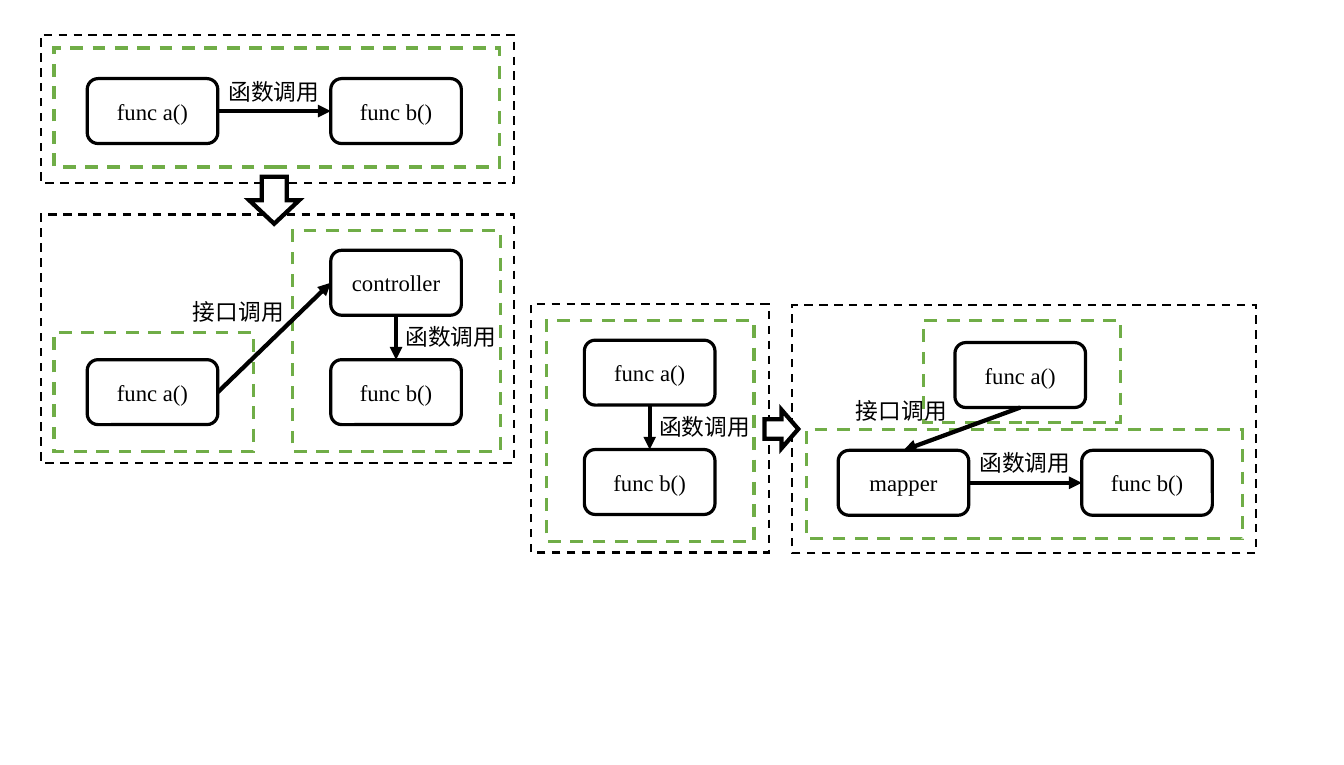
"""Build a slide showing how local function calls are split into interface calls."""
from dataclasses import dataclass

from lxml import etree
from pptx import Presentation
from pptx.dml.color import RGBColor
from pptx.enum.dml import MSO_LINE
from pptx.enum.shapes import MSO_CONNECTOR, MSO_SHAPE
from pptx.enum.text import MSO_ANCHOR, MSO_AUTO_SIZE, PP_ALIGN
from pptx.oxml.ns import qn
from pptx.util import Cm, Pt

RECTANGLE = MSO_SHAPE.RECTANGLE
ROUNDED = MSO_SHAPE.ROUNDED_RECTANGLE
DOWN_ARROW = MSO_SHAPE.DOWN_ARROW
STRAIGHT = MSO_CONNECTOR.STRAIGHT
DASH = MSO_LINE.DASH
MIDDLE = MSO_ANCHOR.MIDDLE
FIT_TEXT = MSO_AUTO_SIZE.SHAPE_TO_FIT_TEXT
CENTER = PP_ALIGN.CENTER
TOP, LEFT, BOTTOM, RIGHT = range(4)

FUNCTION_CALL = "函数调用"
INTERFACE_CALL = "接口调用"
BESIDE_ACROSS = (5.61, -0.18)
BESIDE_DOWN = (2.29, 3.5)
STEP_ACROSS = 12.12
STEP_DOWN = 5.44


@dataclass(frozen=True)
class Theme:
    """Colours, fonts, type size and line widths."""
    ink: RGBColor = RGBColor(0, 0, 0)
    paper: RGBColor = RGBColor(255, 255, 255)
    green: RGBColor = RGBColor(0x70, 0xAD, 0x47)
    code_font: str = "Times New Roman"
    label_font: str = "Noto Sans CJK SC"
    text_size: int = 32
    thin: float = 3
    medium: float = 4.5
    thick: float = 6


class Diagram:
    """Draws the elements of the diagram on one slide."""

    def __init__(self, slide, theme):
        self.shapes = slide.shapes
        self.theme = theme

    def outline(self, kind, left, top, width, height, color, weight, dash=None):
        """Add a white shape with a sharp-cornered outline."""
        shape = self.shapes.add_shape(kind, Cm(left), Cm(top), Cm(width), Cm(height))
        shape.shadow.inherit = False
        shape.fill.solid()
        shape.fill.fore_color.rgb = self.theme.paper
        shape.line.color.rgb = color
        shape.line.width = Pt(weight)
        if dash:
            shape.line.dash_style = dash
        line = shape.line._get_or_add_ln()
        etree.SubElement(line, qn("a:miter"), lim="800000")
        return shape

    def process(self, *bounds):
        """Add a black dashed frame around one deployment."""
        self.outline(RECTANGLE, *bounds, self.theme.ink, self.theme.thin, DASH)

    def module(self, *bounds):
        """Add a green dashed frame around one module."""
        self.outline(RECTANGLE, *bounds, self.theme.green, self.theme.medium, DASH)

    def block_arrow(self, *bounds, rotation=0):
        """Add a block arrow leading to the next stage."""
        arrow = self.outline(DOWN_ARROW, *bounds, self.theme.ink, self.theme.thick)
        arrow.rotation = rotation

    def set_text(self, shape, text, font_name):
        """Set one centred paragraph."""
        paragraph = shape.text_frame.paragraphs[0]
        paragraph.text = text
        paragraph.alignment = CENTER
        font = paragraph.font
        font.size = Pt(self.theme.text_size)
        font.color.rgb = self.theme.ink
        font.name = font_name
        properties = paragraph._p.find(qn("a:pPr")).find(qn("a:defRPr"))
        etree.SubElement(properties, qn("a:ea"), typeface=font_name)

    def function(self, text, left, top):
        """Add a rounded function box."""
        box = self.outline(ROUNDED, left, top, 6.5, 3.23, self.theme.ink, self.theme.medium)
        box.text_frame.vertical_anchor = MIDDLE
        self.set_text(box, text, self.theme.code_font)
        return box

    def call(self, caller, caller_side, callee, callee_side, text, offset):
        """Join two boxes with an arrow and a label offset from the caller."""
        connector = self.shapes.add_connector(STRAIGHT, 0, 0, 0, 0)
        connector.begin_connect(caller, caller_side)
        connector.end_connect(callee, callee_side)
        connector.line.color.rgb = self.theme.ink
        connector.line.width = Pt(self.theme.thick)
        line = connector.line._get_or_add_ln()
        etree.SubElement(line, qn("a:tailEnd"), type="triangle")
        etree.SubElement(connector._element.spPr, qn("a:effectLst"))
        across, down = offset
        label = self.shapes.add_textbox(
            caller.left + Cm(across), caller.top + Cm(down), Cm(7.37), Cm(1.63))
        label.text_frame.word_wrap = True
        label.text_frame.auto_size = FIT_TEXT
        self.set_text(label, text, self.theme.label_font)

    def call_across(self, caller, callee):
        """Add a function call to the box on the right."""
        self.call(caller, RIGHT, callee, LEFT, FUNCTION_CALL, BESIDE_ACROSS)

    def call_down(self, caller, callee):
        """Add a function call to the box below."""
        self.call(caller, BOTTOM, callee, TOP, FUNCTION_CALL, BESIDE_DOWN)


def draw_controller_split(diagram):
    """Draw the left column: one module, then a split through a controller."""
    left, right = 4.34, 4.34 + STEP_ACROSS
    diagram.process(2.03, 1.73, 23.55, 7.37)
    diagram.module(2.69, 2.39, 22.17, 5.92)
    caller = diagram.function("func a()", left, 3.91)
    callee = diagram.function("func b()", right, 3.91)
    diagram.call_across(caller, callee)

    diagram.process(2.03, 10.67, 23.55, 12.34)
    diagram.module(14.55, 11.48, 10.34, 10.97)
    diagram.module(2.69, 16.54, 9.93, 5.92)
    controller = diagram.function("controller", right, 12.45)
    caller = diagram.function("func a()", left, 12.45 + STEP_DOWN)
    callee = diagram.function("func b()", right, 12.45 + STEP_DOWN)
    diagram.call_down(controller, callee)
    diagram.call(caller, RIGHT, controller, LEFT, INTERFACE_CALL, (3.84, -3.22))
    diagram.block_arrow(12.4, 8.79, 2.49, 2.34)


def draw_mapper_split(diagram):
    """Draw the right row: one module, then a split through a mapper."""
    diagram.process(26.42, 15.14, 11.84, 12.34)
    diagram.module(27.18, 15.95, 10.34, 10.97)
    caller = diagram.function("func a()", 29.08, 16.92)
    callee = diagram.function("func b()", 29.08, 16.92 + STEP_DOWN)
    diagram.call_down(caller, callee)

    diagram.process(39.42, 15.16, 23.09, 12.34)
    diagram.module(45.95, 15.95, 9.83, 5.05)
    diagram.module(40.13, 21.36, 21.69, 5.44)
    caller = diagram.function("func a()", 47.52, 17.04)
    mapper = diagram.function("mapper", 41.71, 22.4)
    callee = diagram.function("func b()", 41.71 + STEP_ACROSS, 22.4)
    diagram.call_across(mapper, callee)
    diagram.call(caller, BOTTOM, mapper, TOP, INTERFACE_CALL, (-6.35, 2.59))
    diagram.block_arrow(37.92, 20.5, 1.93, 1.68, rotation=270)


def main():
    """Create and save the presentation."""
    presentation = Presentation()
    presentation.slide_width = Cm(66.88)
    presentation.slide_height = Cm(38.05)
    slide = presentation.slides.add_slide(presentation.slide_layouts[6])
    diagram = Diagram(slide, Theme())
    draw_controller_split(diagram)
    draw_mapper_split(diagram)
    presentation.save("out.pptx")


if __name__ == "__main__":
    main()
